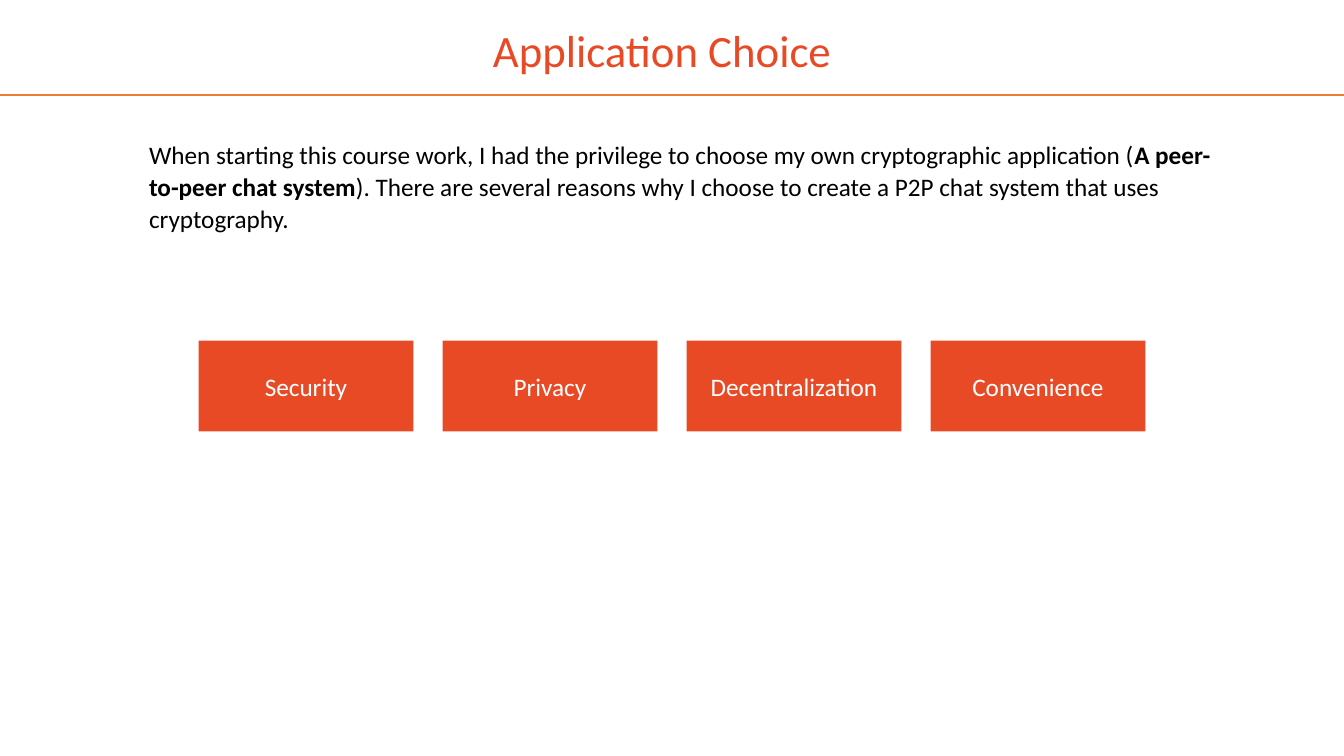
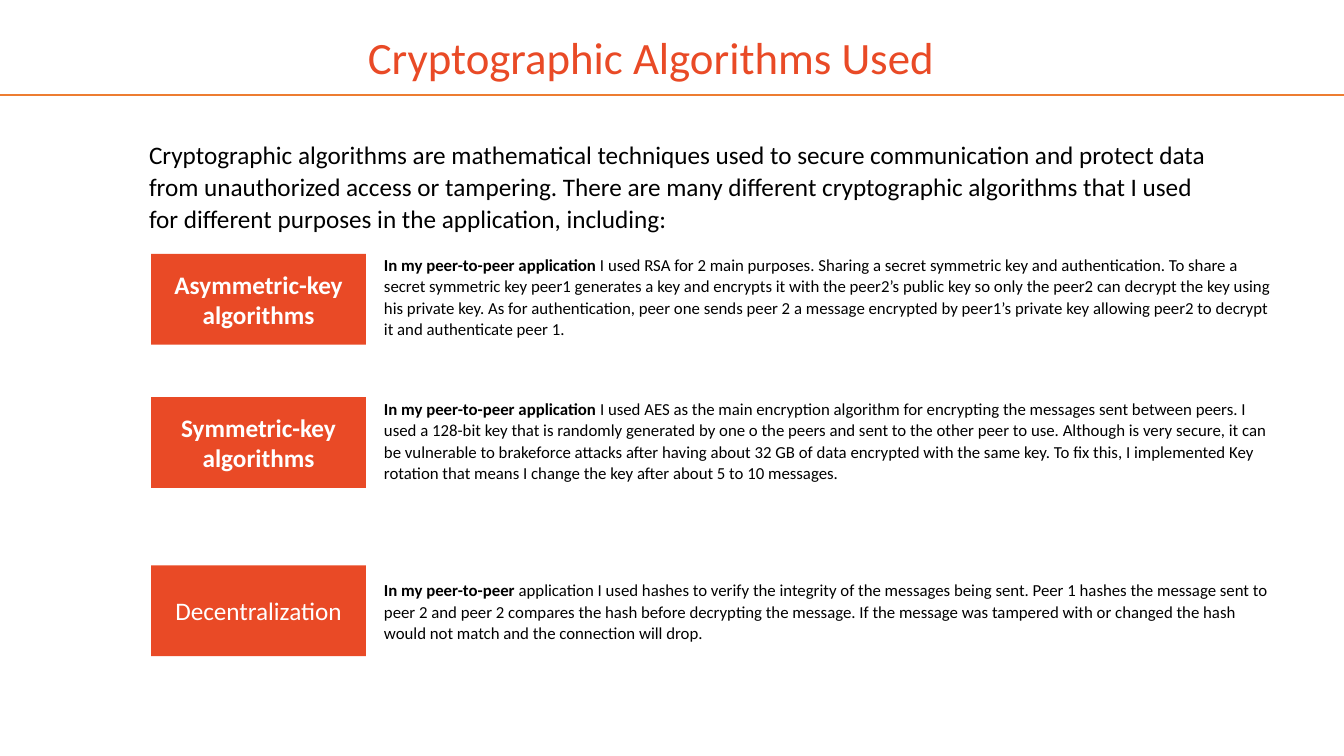
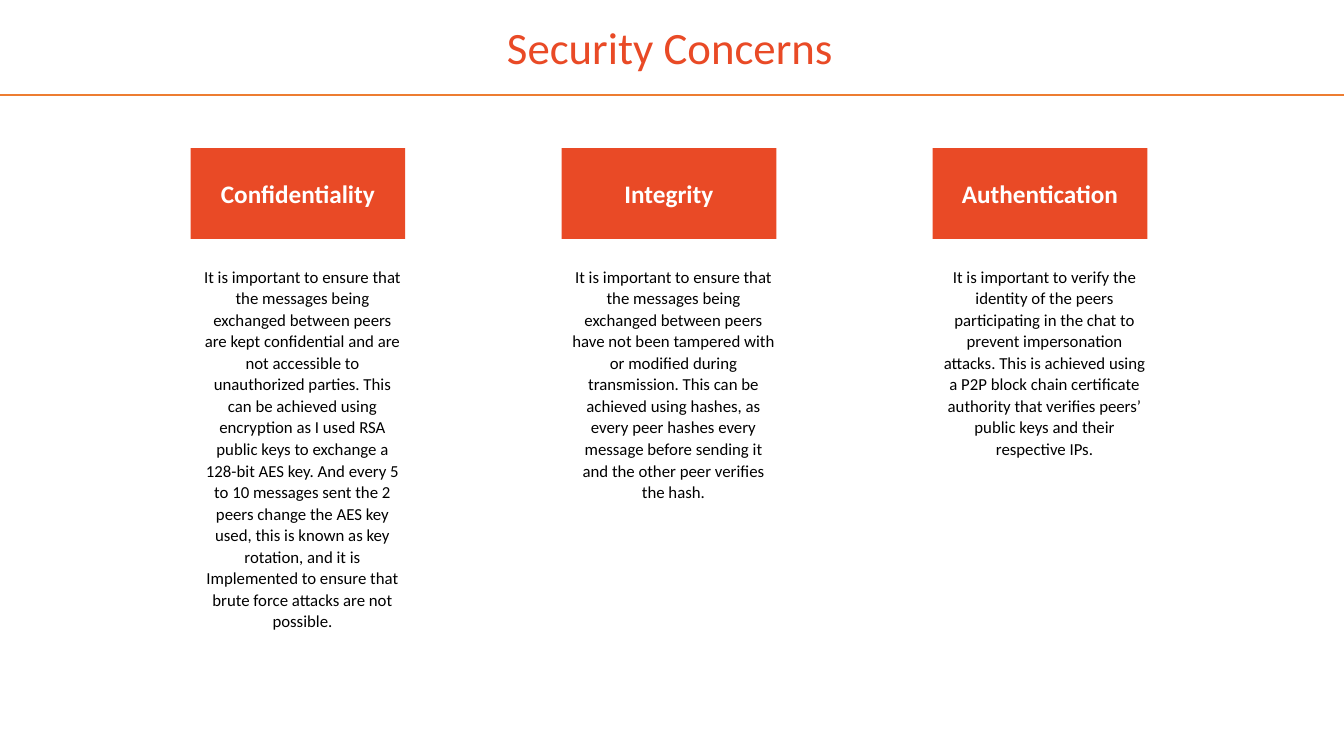
"""Build three slides about a cryptographic peer-to-peer chat system."""
from dataclasses import dataclass

from lxml.etree import SubElement
from pptx import Presentation
from pptx.dml.color import RGBColor
from pptx.enum.shapes import MSO_CONNECTOR, MSO_SHAPE
from pptx.enum.text import MSO_ANCHOR, MSO_AUTO_SIZE, PP_ALIGN
from pptx.oxml.ns import qn
from pptx.presentation import Presentation as Deck
from pptx.slide import Slide
from pptx.text.text import _Paragraph as Paragraph
from pptx.util import Inches, Pt

ACCENT = RGBColor(0xE9, 0x4A, 0x26)
RULE = RGBColor(0xED, 0x7D, 0x31)
BLACK = RGBColor(0x00, 0x00, 0x00)
WHITE = RGBColor(0xFF, 0xFF, 0xFF)
FONT = "Calibri"
PAGE_WIDTH = 13.33
PAGE_HEIGHT = 7.5
RULE_TOP = 0.94
LABEL_WIDTH = 2.13
LABEL_HEIGHT = 0.9
INDENT = 0.5


@dataclass(frozen=True)
class Span:
    text: str
    bold: bool = False


@dataclass(frozen=True)
class Area:
    left: float
    top: float
    width: float
    height: float


@dataclass(frozen=True)
class Algorithm:
    label: Span
    label_top: float
    text_top: float
    text_height: float
    spans: tuple[Span, ...]


@dataclass(frozen=True)
class Concern:
    name: str
    text_height: float
    text: str


REASONS = ("Security", "Privacy", "Decentralization", "Convenience")

CHOICE_INTRO = (
    Span("When starting this course work, I had the privilege to choose my own "
         "cryptographic application ("),
    Span("A peer-to-peer chat system", True),
    Span("). There are several reasons why I choose to create a P2P chat system "
         "that uses cryptography."),
)

ALGORITHM_INTRO = (
    Span("Cryptographic algorithms are mathematical techniques used to secure "
         "communication and protect data from unauthorized access or tampering. "
         "There are many different cryptographic algorithms that I used for "
         "different purposes in the application, including:"),
)

ALGORITHMS = (
    Algorithm(Span("Asymmetric-key algorithms", True), 2.52, 2.46, 0.96, (
        Span("In my peer-to-peer application", True),
        Span(" I used RSA for 2 main purposes. Sharing a secret symmetric key and "
             "authentication. To share a secret symmetric key peer1 generates a key "
             "and encrypts it with the peer2’s public key so only the peer2 can "
             "decrypt the key using his private key. As for authentication, peer one "
             "sends peer 2 a message encrypted by peer1’s private key allowing peer2 "
             "to decrypt it and authenticate peer 1."),
    )),
    Algorithm(Span("Symmetric-key algorithms", True), 3.94, 3.89, 0.96, (
        Span("In my peer-to-peer application ", True),
        Span("I used AES as the main encryption algorithm for encrypting the messages "
             "sent between peers. I used a 128-bit key that is randomly generated by "
             "one o the peers and sent to the other peer to use. Although is very "
             "secure, it can be vulnerable to brakeforce attacks after having about "
             "32 GB of data encrypted with the same key. To fix this, I implemented "
             "Key rotation that means I change the key after about 5 to 10 messages."),
    )),
    Algorithm(Span("Decentralization"), 5.61, 5.69, 0.74, (
        Span("In my peer-to-peer ", True),
        Span("application I used hashes to verify the integrity of the messages being "
             "sent. Peer 1 hashes the message sent to peer 2 and peer 2 compares the "
             "hash before decrypting the message. If the message was tampered with or "
             "changed the hash would not match and the connection will drop."),
    )),
)

CONCERNS = (
    Concern("Confidentiality", 3.77,
            "It is important to ensure that the messages being exchanged between peers "
            "are kept confidential and are not accessible to unauthorized parties. This "
            "can be achieved using encryption as I used RSA public keys to exchange a "
            "128-bit AES key. And every 5 to 10 messages sent the 2 peers change the AES "
            "key used, this is known as key rotation, and it is Implemented to ensure "
            "that brute force attacks are not possible."),
    Concern("Integrity", 2.47,
            "It is important to ensure that the messages being exchanged between peers "
            "have not been tampered with or modified during transmission. This can be "
            "achieved using hashes, as every peer hashes every message before sending it "
            "and the other peer verifies the hash."),
    Concern("Authentication", 2.04,
            "It is important to verify the identity of the peers participating in the "
            "chat to prevent impersonation attacks. This is achieved using a P2P block "
            "chain certificate authority that verifies peers’ public keys and their "
            "respective IPs."),
)


def add_spans(paragraph: Paragraph, spans: tuple[Span, ...], size: int,
              color: RGBColor) -> None:
    """Add formatted runs to a paragraph."""
    for span in spans:
        run = paragraph.add_run()
        run.text = span.text
        run.font.name = FONT
        run.font.size = Pt(size)
        run.font.bold = span.bold
        run.font.color.rgb = color


def add_text(page: Slide, area: Area, spans: tuple[Span, ...], size: int,
             color: RGBColor) -> Paragraph:
    """Add a wrapping text box and return its paragraph."""
    box = page.shapes.add_textbox(Inches(area.left), Inches(area.top),
                                  Inches(area.width), Inches(area.height))
    box.text_frame.word_wrap = True
    box.text_frame.auto_size = MSO_AUTO_SIZE.SHAPE_TO_FIT_TEXT
    paragraph = box.text_frame.paragraphs[0]
    add_spans(paragraph, spans, size, color)
    return paragraph


def add_body(page: Slide, area: Area, spans: tuple[Span, ...], size: int) -> Paragraph:
    """Add black body text with its line and paragraph spacing."""
    paragraph = add_text(page, area, spans, size, BLACK)
    paragraph.line_spacing = 1.07
    paragraph.space_after = Pt(8)
    return paragraph


def add_detail(page: Slide, area: Area, spans: tuple[Span, ...],
               alignment: PP_ALIGN = PP_ALIGN.LEFT) -> None:
    """Add small indented body text."""
    paragraph = add_body(page, area, spans, 12)
    paragraph.level = 1
    paragraph.alignment = alignment
    properties = paragraph._p.get_or_add_pPr()
    properties.set("marL", str(Inches(INDENT)))
    properties.set("indent", "0")


def add_intro(page: Slide, spans: tuple[Span, ...]) -> None:
    """Add the introduction below the rule."""
    add_body(page, Area(1.38, 1.31, 10.84, 1.06), spans, 18)


def add_label(page: Slide, left: float, top: float, span: Span) -> None:
    """Add a filled label with centred white text."""
    label = page.shapes.add_shape(MSO_SHAPE.RECTANGLE, Inches(left), Inches(top),
                                  Inches(LABEL_WIDTH), Inches(LABEL_HEIGHT))
    label.shadow.inherit = False
    label.fill.solid()
    label.fill.fore_color.rgb = ACCENT
    label.line.fill.background()
    label.text_frame.word_wrap = True
    label.text_frame.vertical_anchor = MSO_ANCHOR.MIDDLE
    paragraph = label.text_frame.paragraphs[0]
    paragraph.alignment = PP_ALIGN.CENTER
    add_spans(paragraph, (span,), 18, WHITE)


def add_page(deck: Deck, title: str, title_area: Area) -> Slide:
    """Add a blank page with the shared rule and title style."""
    page = deck.slides.add_slide(deck.slide_layouts[6])
    rule = page.shapes.add_connector(MSO_CONNECTOR.STRAIGHT, Inches(0), Inches(RULE_TOP),
                                     Inches(PAGE_WIDTH), Inches(RULE_TOP))
    rule.line.color.rgb = RULE
    rule.line.width = Pt(1.5)
    SubElement(rule._element.spPr, qn("a:effectLst"))
    add_text(page, title_area, (Span(title),), 32, ACCENT)
    return page


def build_choice(deck: Deck) -> None:
    """Build the page on the choice of application."""
    page = add_page(deck, "Application Choice", Area(4.79, 0.18, 3.75, 0.64))
    add_intro(page, CHOICE_INTRO)
    gap = 0.29
    row_width = len(REASONS) * LABEL_WIDTH + (len(REASONS) - 1) * gap
    row_left = (PAGE_WIDTH - row_width) / 2
    for index, reason in enumerate(REASONS):
        add_label(page, row_left + index * (LABEL_WIDTH + gap), 3.38, Span(reason))


def build_algorithms(deck: Deck) -> None:
    """Build the page on the algorithms."""
    page = add_page(deck, "Cryptographic Algorithms Used", Area(3.55, 0.25, 6.23, 0.64))
    add_intro(page, ALGORITHM_INTRO)
    for algorithm in ALGORITHMS:
        add_label(page, 1.5, algorithm.label_top, algorithm.label)
        add_detail(page, Area(3.21, algorithm.text_top, 9.51, algorithm.text_height),
                   algorithm.spans)


def build_concerns(deck: Deck) -> None:
    """Build the page on the security concerns."""
    page = add_page(deck, "Security Concerns", Area(4.93, 0.15, 3.47, 0.64))
    for index, concern in enumerate(CONCERNS):
        left = 1.89 + index * 3.68
        add_label(page, left, 1.47, Span(concern.name, True))
        add_detail(page, Area(left - INDENT, 2.58, 2.72, concern.text_height),
                   (Span(concern.text),), PP_ALIGN.CENTER)


def main() -> None:
    """Build and save the deck."""
    deck = Presentation()
    deck.slide_width = Inches(PAGE_WIDTH)
    deck.slide_height = Inches(PAGE_HEIGHT)
    build_choice(deck)
    build_algorithms(deck)
    build_concerns(deck)
    deck.save("out.pptx")


if __name__ == "__main__":
    main()
